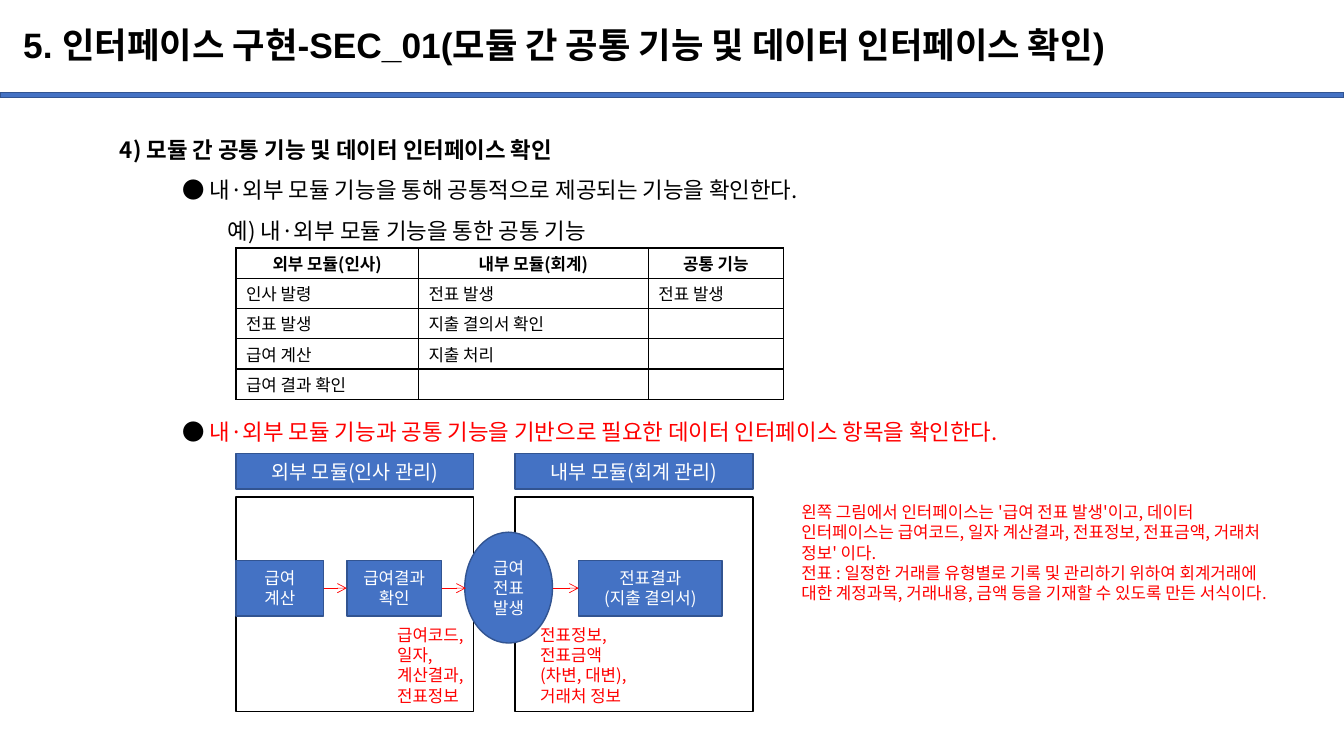
from lxml import etree
from pptx import Presentation
from pptx.dml.color import RGBColor
from pptx.enum import shapes, text
from pptx.oxml.ns import qn
from pptx.util import Inches, Pt

BLUE = RGBColor(0x44, 0x72, 0xC4)
BLUE_EDGE = RGBColor(0x32, 0x54, 0x91)
RED = RGBColor(0xFF, 0, 0)
BLACK = RGBColor(0, 0, 0)
WHITE = RGBColor(0xFF, 0xFF, 0xFF)
FONT = "Noto Sans CJK KR"

TITLE = "5. 인터페이스 구현-SEC_01(모듈 간 공통 기능 및 데이터 인터페이스 확인)"
# (mark, wording, wording colour, bold, indent in inches, points before)
OUTLINE = [
    ("", "4) 모듈 간 공통 기능 및 데이터 인터페이스 확인", BLACK, True, 0, 0),
    ("● ", "내·외부 모듈 기능을 통해 공통적으로 제공되는 기능을 확인한다.", BLACK, False, 0.62, 0),
    ("", "예) 내·외부 모듈 기능을 통한 공통 기능", BLACK, False, 1.07, 0),
    ("● ", "내·외부 모듈 기능과 공통 기능을 기반으로 필요한 데이터 인터페이스 항목을 확인한다.",
     RED, False, 0.62, 115),
]
FUNCTIONS = [
    ("외부 모듈(인사)", "내부 모듈(회계)", "공통 기능"),
    ("인사 발령", "전표 발생", "전표 발생"),
    ("전표 발생", "지출 결의서 확인", ""),
    ("급여 계산", "지출 처리", ""),
    ("급여 결과 확인", "", ""),
]
COLUMN_WIDTHS = (1.81, 2.28, 1.34)
ROW_HEIGHT = 0.3
MODULES = ["외부 모듈(인사 관리)", "내부 모듈(회계 관리)"]
MODULE_LEFT, MODULE_STEP, MODULE_WIDTH = 2.34, 2.77, 2.36
STEP_TOP, STEP_HEIGHT = 5.56, 0.55
STEPS = [("급여\n계산", 2.34, 0.87), ("급여결과\n확인", 3.44, 0.94),
         ("전표결과\n(지출 결의서)", 5.74, 1.42)]
VOUCHER = "급여전표발생"
VOUCHER_BOX = (4.61, 5.28, 0.87, 1.1)
NOTES = [
    ("급여코드,\n일자,\n계산결과,\n전표정보", (3.84, 6.15, 0.94, 0.91)),
    ("전표정보,\n전표금액\n(차변, 대변),\n거래처 정보", (5.26, 6.15, 1.33, 0.91)),
    ("왼쪽 그림에서 인터페이스는 '급여 전표 발생'이고, 데이터 인터페이스는 급여코드, "
     "일자 계산결과, 전표정보, 전표금액, 거래처 정보' 이다.\n"
     "전표 : 일정한 거래를 유형별로 기록 및 관리하기 위하여 회계거래에 대한 계정과목, "
     "거래내용, 금액 등을 기재할 수 있도록 만든 서식이다.", (7.85, 4.93, 4.96, 1.31)),
]

deck = Presentation()
deck.slide_width, deck.slide_height = Inches(13.33), Inches(7.5)
slide = deck.slides.add_slide(deck.slide_layouts[5])


def inches(box):
    return [Inches(length) for length in box]


def style(paragraph, size, color, bold=False, align=text.PP_ALIGN.LEFT, name=FONT):
    paragraph.alignment = align
    font = paragraph.font
    font.size, font.bold, font.name = Pt(size), bold, name
    font.color.rgb = color


def add_block(box, words="", size=12, kind=shapes.MSO_SHAPE.RECTANGLE, fill=BLUE, edge=BLUE_EDGE):
    block = slide.shapes.add_shape(kind, *inches(box))
    block.shadow.inherit = False
    if fill is None:
        block.fill.background()
    else:
        block.fill.solid()
        block.fill.fore_color.rgb = fill
    block.line.color.rgb, block.line.width = edge, Pt(1)
    if words:
        frame = block.text_frame
        frame.text, frame.word_wrap = words, True
        frame.vertical_anchor = text.MSO_ANCHOR.MIDDLE
        for paragraph in frame.paragraphs:
            style(paragraph, size, WHITE, align=text.PP_ALIGN.CENTER)
    return block


def add_textbox(box):
    frame = slide.shapes.add_textbox(*inches(box)).text_frame
    frame.word_wrap = True
    return frame


def add_arrow(start, end, source=None, target=None):
    """Draw a red arrow at mid-step height, joined to the given blocks."""
    y = Inches(STEP_TOP + STEP_HEIGHT / 2)
    arrow = slide.shapes.add_connector(shapes.MSO_CONNECTOR.STRAIGHT, Inches(start), y, Inches(end), y)
    if source is not None:
        arrow.begin_connect(source, 3)
    if target is not None:
        arrow.end_connect(target, 1)
    arrow.line.color.rgb, arrow.line.width = RED, Pt(0.5)
    etree.SubElement(arrow.line._get_or_add_ln(), qn("a:tailEnd"), type="arrow")
    etree.SubElement(arrow._element.spPr, qn("a:effectLst"))


def add_borders(cell):
    properties = cell._tc.get_or_add_tcPr()
    for position, side in enumerate(("a:lnL", "a:lnR", "a:lnT", "a:lnB")):
        border = etree.Element(qn(side), w=str(Pt(1)))
        fill = etree.SubElement(border, qn("a:solidFill"))
        etree.SubElement(fill, qn("a:srgbClr"), val=str(BLACK))
        properties.insert(position, border)


# Heading and rule
add_block((0, 0.92, 13.33, 0.05))
title = slide.shapes.title
title.left, title.top, title.width, title.height = inches((0.13, 0.1, 12.68, 0.74))
title.text_frame.text = TITLE
title.text_frame.vertical_anchor = text.MSO_ANCHOR.MIDDLE
style(title.text_frame.paragraphs[0], 25.2, BLACK, True, name="Arial")
title.text_frame.paragraphs[0].line_spacing = 0.9

# Outline, with room for the table before its last line
outline = add_textbox((1.09, 1.17, 11.72, 3.33))
for number, (mark, words, color, bold, indent, before) in enumerate(OUTLINE):
    line = outline.paragraphs[0] if number == 0 else outline.add_paragraph()
    line._p.get_or_add_pPr().set("marL", str(Inches(indent)))
    line.line_spacing = 1.5
    if before:
        line.space_before = Pt(before)
    style(line, 16, BLACK, bold)
    if mark:
        line.add_run().text = mark
    run = line.add_run()
    run.text = words
    run.font.color.rgb = color

# Table of functions
table = slide.shapes.add_table(
    len(FUNCTIONS), len(COLUMN_WIDTHS),
    *inches((2.34, 2.46, sum(COLUMN_WIDTHS), ROW_HEIGHT * len(FUNCTIONS)))).table
for column, width in zip(table.columns, COLUMN_WIDTHS):
    column.width = Inches(width)
for r, row in enumerate(FUNCTIONS):
    table.rows[r].height = Inches(ROW_HEIGHT)
    for c, words in enumerate(row):
        cell = table.cell(r, c)
        cell.text = words
        cell.margin_top = cell.margin_bottom = Inches(0.02)
        cell.vertical_anchor = text.MSO_ANCHOR.MIDDLE
        cell.fill.background()
        add_borders(cell)
        entry = cell.text_frame.paragraphs[0]
        style(entry, 12, BLACK, r == 0, text.PP_ALIGN.CENTER if r == 0 else text.PP_ALIGN.LEFT)
        if not words:
            etree.SubElement(entry._p, qn("a:endParaRPr"), sz="1200")

# Module diagram
for number, module in enumerate(MODULES):
    left = MODULE_LEFT + number * MODULE_STEP
    add_block((left, 4.5, MODULE_WIDTH, 0.35), module, 14)
    add_block((left, 4.93, MODULE_WIDTH, 2.13), fill=None, edge=BLACK)
calculate, confirm, result = [
    add_block((left, STEP_TOP, width, STEP_HEIGHT), words) for words, left, width in STEPS]
add_block(VOUCHER_BOX, VOUCHER, kind=shapes.MSO_SHAPE.OVAL)
add_arrow(3.21, 3.44, calculate, confirm)
add_arrow(4.38, 4.62, source=confirm)
add_arrow(5.48, 5.74, target=result)

for words, box in NOTES:
    note = add_textbox(box)
    note.text = words
    for paragraph in note.paragraphs:
        style(paragraph, 12, RED)

deck.save("out.pptx")
